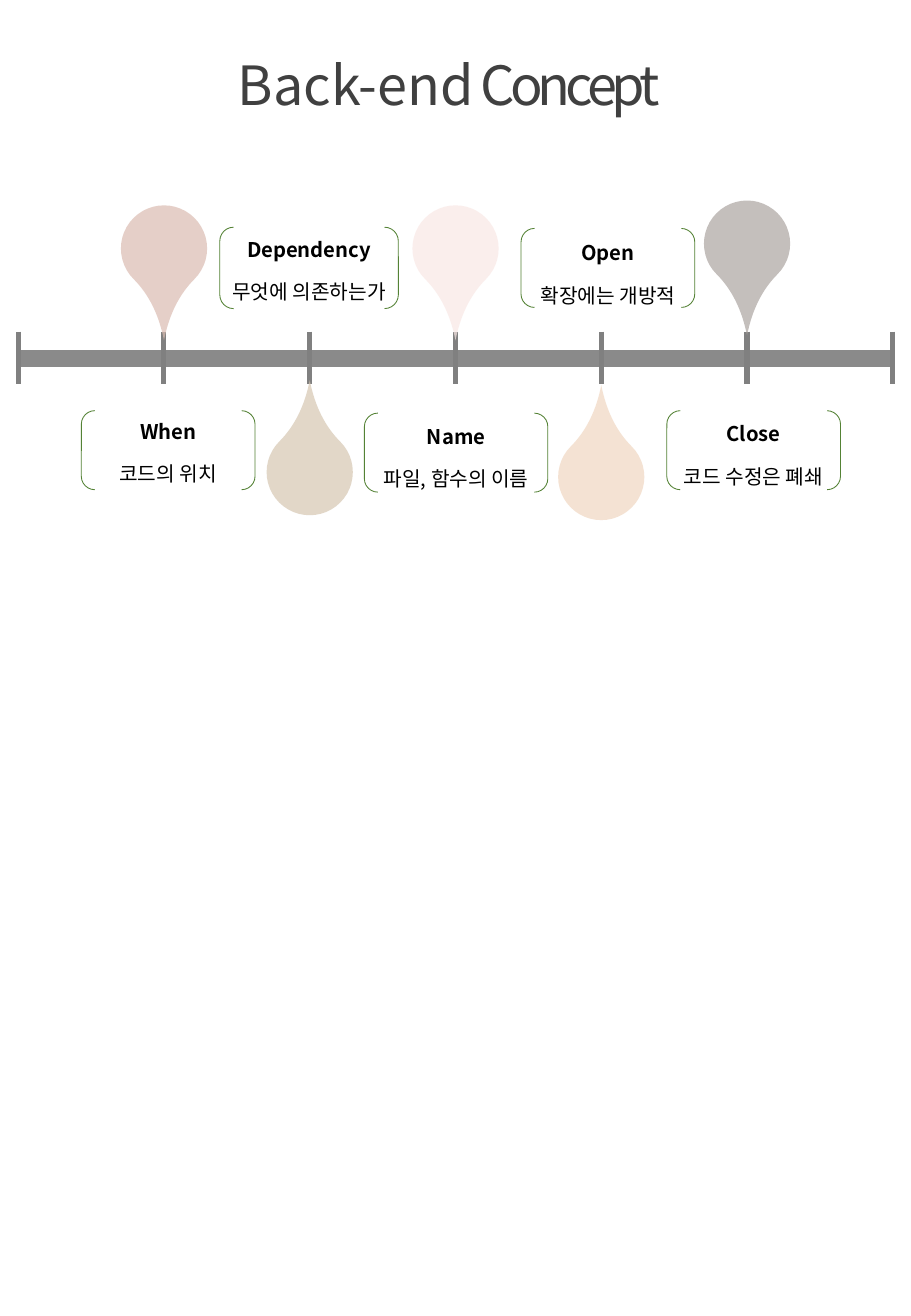
from dataclasses import dataclass

from lxml import etree
from pptx import Presentation
from pptx import util as u
from pptx.dml.color import RGBColor
from pptx.enum import shapes, text
from pptx.oxml import ns

FONT = "Noto Sans CJK KR"
TITLE_COLOR = RGBColor(0x40, 0x40, 0x40)
TEXT_COLOR = RGBColor(0x00, 0x00, 0x00)
BAR_COLOR = RGBColor(0x8A, 0x8A, 0x8A)
TICK_COLOR = RGBColor(0x80, 0x80, 0x80)
BRACKET_COLOR = RGBColor(0x54, 0x82, 0x35)

AXIS_LEFT, AXIS_Y, TICK_GAP, TICK_COUNT = 0.15, 2.95, 1.2, 7
TICK_TOP, TICK_BOTTOM = 2.73, 3.16
DROP_SIZE = 0.71
LABEL_HEIGHT, LABEL_STEP = 0.3, 0.35


@dataclass(frozen=True)
class Bracket:
    left: float
    top: float
    width: float
    height: float = 0.65


@dataclass(frozen=True)
class Stop:
    heading: str
    detail: str
    drop_color: RGBColor
    drop_top: float
    bracket: Bracket
    heading_top: float
    heading_width: float
    detail_width: float


STOPS = [
    Stop("When", "코드의 위치", RGBColor(0xDB, 0xBC, 0xB1), 1.69,
         Bracket(0.67, 3.38, 1.43), 3.4, 0.71, 1.06),
    Stop("Dependency", "무엇에 의존하는가", RGBColor(0xD6, 0xC7, 0xB2), 3.53,
         Bracket(1.81, 1.87, 1.47, 0.67), 1.9, 1.27, 1.55),
    Stop("Name", "파일, 함수의 이름", RGBColor(0xF9, 0xE7, 0xE4), 1.69,
         Bracket(3.0, 3.4, 1.51), 3.44, 0.7, 1.49),
    Stop("Open", "확장에는 개방적", RGBColor(0xF0, 0xD7, 0xC1), 3.57,
         Bracket(4.29, 1.88, 1.43), 1.93, 0.66, 1.39),
    Stop("Close", "코드 수정은 폐쇄", RGBColor(0xAC, 0xA4, 0xA0), 1.65,
         Bracket(5.49, 3.38, 1.43), 3.42, 0.66, 1.43),
]


def tick_x(index: int) -> float:
    return AXIS_LEFT + index * TICK_GAP


def format_text(shape, size: float, color: RGBColor, bold: bool = False) -> None:
    frame = shape.text_frame
    frame.word_wrap = False
    frame.auto_size = text.MSO_AUTO_SIZE.NONE
    frame.vertical_anchor = text.MSO_ANCHOR.MIDDLE
    frame.margin_top = frame.margin_bottom = 0
    paragraph = frame.paragraphs[0]
    paragraph.alignment = text.PP_ALIGN.CENTER
    for run in paragraph.runs:
        run.font.size = u.Pt(size)
        run.font.bold = bold
        run.font.color.rgb = color
        run.font.name = FONT
        east_asian = etree.SubElement(run._r.get_or_add_rPr(), ns.qn("a:ea"))
        east_asian.set("typeface", FONT)


def add_title(slide) -> None:
    title = slide.shapes.title
    title.left, title.top = u.Inches(1.8), u.Inches(0.37)
    title.width, title.height = u.Inches(3.79), u.Inches(0.64)
    title.text_frame.text = "Back-end"
    tight_run = title.text_frame.paragraphs[0].add_run()
    tight_run.text = " Concept"
    format_text(title, 32, TITLE_COLOR)
    tight_run._r.get_or_add_rPr().set("spc", "-300")


def add_line(slide, start: tuple[float, float], end: tuple[float, float],
             color: RGBColor, width: float) -> None:
    line = slide.shapes.add_connector(
        shapes.MSO_CONNECTOR.STRAIGHT, *map(u.Inches, start + end))
    line.line.color.rgb = color
    line.line.width = u.Pt(width)
    etree.SubElement(line._element.spPr, ns.qn("a:effectLst"))


def add_timeline(slide) -> None:
    add_line(slide, (AXIS_LEFT, AXIS_Y), (tick_x(TICK_COUNT - 1), AXIS_Y), BAR_COLOR, 10)
    for index in range(TICK_COUNT):
        x = tick_x(index)
        add_line(slide, (x, TICK_TOP), (x, TICK_BOTTOM), TICK_COLOR, 3)


def add_drop(slide, stop: Stop, x: float) -> None:
    """Add a translucent drop whose tip points at the timeline."""
    drop = slide.shapes.add_shape(
        shapes.MSO_SHAPE.TEAR, u.Inches(x - DROP_SIZE / 2), u.Inches(stop.drop_top),
        u.Inches(DROP_SIZE), u.Inches(DROP_SIZE))
    drop.shadow.inherit = False
    drop.adjustments[0] = 1.506
    drop.rotation = 135 if stop.drop_top < AXIS_Y else 315
    drop.fill.solid()
    drop.fill.fore_color.rgb = stop.drop_color
    color = drop._element.spPr.find(ns.qn("a:solidFill"))[0]
    etree.SubElement(color, ns.qn("a:alpha")).set("val", "70000")
    drop.line.fill.background()


def add_label(slide, wording: str, center: float, top: float, width: float,
              bold: bool = False) -> None:
    label = slide.shapes.add_textbox(
        u.Inches(center - width / 2), u.Inches(top), u.Inches(width), u.Inches(LABEL_HEIGHT))
    label.text_frame.text = wording
    format_text(label, 12, TEXT_COLOR, bold)


def add_bracket(slide, bracket: Bracket) -> None:
    pair = slide.shapes.add_shape(
        shapes.MSO_SHAPE.DOUBLE_BRACKET, u.Inches(bracket.left), u.Inches(bracket.top),
        u.Inches(bracket.width), u.Inches(bracket.height))
    pair.shadow.inherit = False
    pair.adjustments[0] = 0.17
    pair.fill.background()
    pair.line.color.rgb = BRACKET_COLOR
    pair.line.width = u.Pt(0.5)


def main() -> None:
    presentation = Presentation()
    presentation.slide_width = u.Inches(7.5)
    presentation.slide_height = u.Inches(10.83)
    slide = presentation.slides.add_slide(presentation.slide_layouts[5])
    add_title(slide)
    add_timeline(slide)
    for index, stop in enumerate(STOPS, start=1):
        center = stop.bracket.left + stop.bracket.width / 2
        add_drop(slide, stop, tick_x(index))
        add_label(slide, stop.heading, center, stop.heading_top, stop.heading_width, bold=True)
        add_label(slide, stop.detail, center, stop.heading_top + LABEL_STEP, stop.detail_width)
        add_bracket(slide, stop.bracket)
    presentation.save("out.pptx")


if __name__ == "__main__":
    main()
